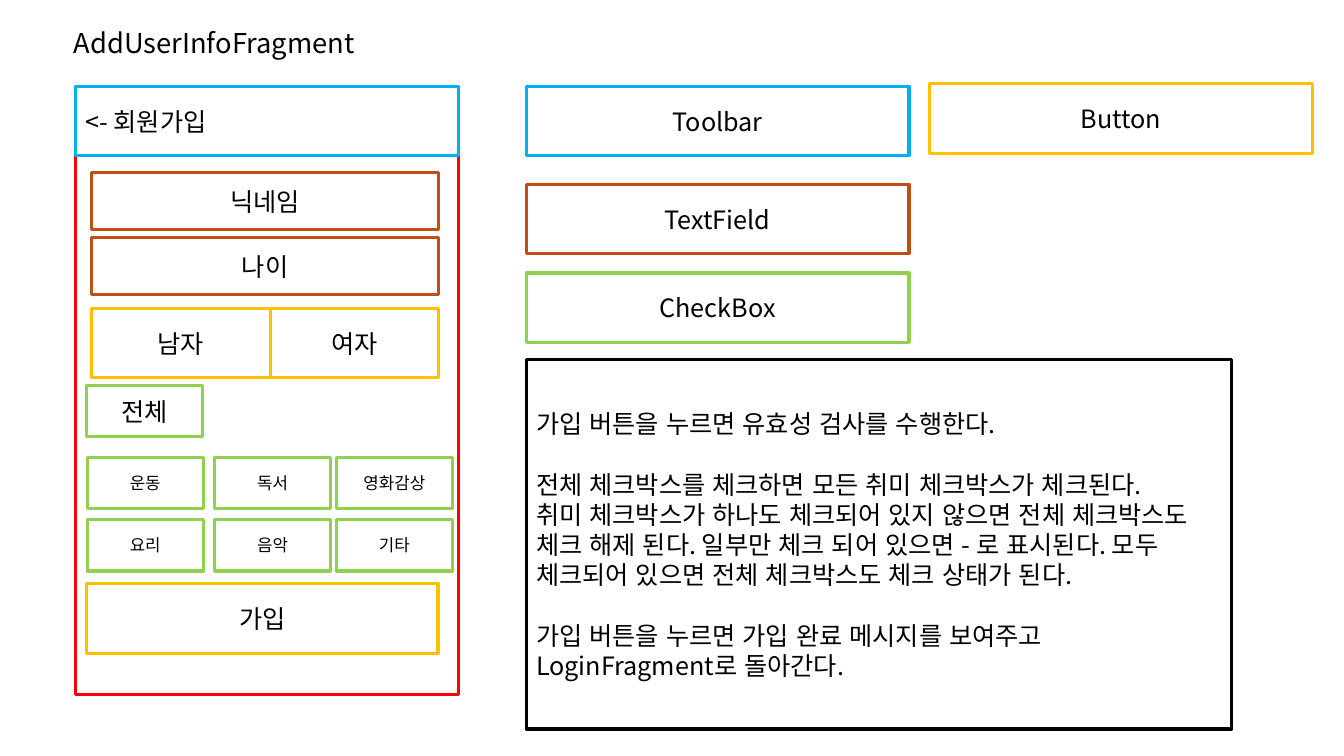
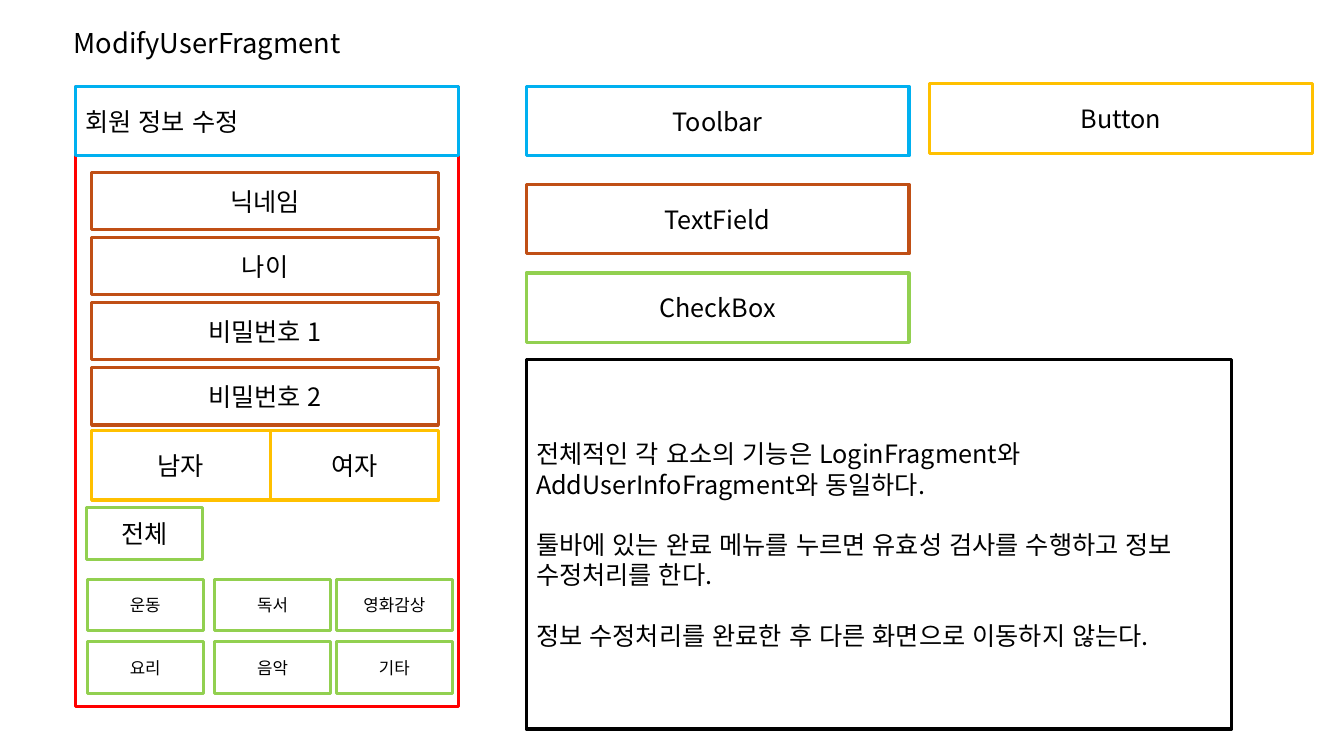
"""Build two wireframe pages that describe the user forms of an app."""

from dataclasses import dataclass
from typing import Optional

from lxml.etree import SubElement
from pptx import Presentation
from pptx.dml.color import RGBColor
from pptx.enum.lang import MSO_LANGUAGE_ID as Language
from pptx.enum.shapes import MSO_SHAPE as Preset
from pptx.enum.text import MSO_ANCHOR as Anchor, MSO_AUTO_SIZE as AutoSize, PP_ALIGN as Align
from pptx.oxml.ns import qn
from pptx.util import Cm, Pt

FONT = "Noto Sans CJK KR"
INK = "000000"
SCREEN = "FF0000"
TOOLBAR = "00B0F0"
FIELD = "C04F15"
BUTTON = "FFC000"
CHECK = "92D050"

SCREEN_LEFT, SCREEN_TOP, SCREEN_WIDTH = 1.9, 2.18, 9.65
BAR_HEIGHT = 1.75
FIELD_LEFT, FIELD_TOP, FIELD_WIDTH, FIELD_HEIGHT, FIELD_STEP = 2.31, 4.34, 8.74, 1.45, 1.64
CHECK_LEFT, CHECK_WIDTH, CHECK_HEIGHT, CHECK_STEP = 2.18, 2.92, 1.3, 1.57
LEGEND_LEFT = 13.26
LINE_PITCH = 21.6

HOBBY_COLUMNS = (2.2, 5.41, 8.48)
HOBBY_ROWS = (("운동", "독서", "영화감상"), ("요리", "음악", "기타"))


@dataclass(frozen=True)
class Box:
    """An outlined rectangle with its label, measured in centimetres."""

    left: float
    top: float
    width: float
    height: float
    colour: str
    label: str = ""
    size: float = 18
    align: Align = Align.CENTER


@dataclass(frozen=True)
class Note:
    """A paragraph of the explanation, opening a new block or not."""

    text: str
    opens_block: bool = True


@dataclass(frozen=True)
class Form:
    """The content of one page."""

    title: str
    toolbar: str
    screen_height: float
    fields: tuple[str, ...]
    gender_top: float
    notes: tuple[Note, ...]
    submit: Optional[str] = None


LEGEND = (
    Box(LEGEND_LEFT, SCREEN_TOP, SCREEN_WIDTH, BAR_HEIGHT, TOOLBAR, "Toolbar"),
    Box(LEGEND_LEFT, 4.65, SCREEN_WIDTH, BAR_HEIGHT, FIELD, "TextField"),
    Box(LEGEND_LEFT, 6.88, SCREEN_WIDTH, BAR_HEIGHT, CHECK, "CheckBox"),
    Box(23.42, 2.11, SCREEN_WIDTH, BAR_HEIGHT, BUTTON, "Button"),
)
NOTE_BOX = Box(LEGEND_LEFT, 9.07, 17.78, 9.3, INK)

FORMS = (
    Form(
        title="AddUserInfoFragment",
        toolbar="<- 회원가입",
        screen_height=15.32,
        fields=("닉네임", "나이"),
        gender_top=7.77,
        notes=(
            Note("가입 버튼을 누르면 유효성 검사를 수행한다."),
            Note("전체 체크박스를 체크하면 모든 취미 체크박스가 체크된다."),
            Note(
                "취미 체크박스가 하나도 체크되어 있지 않으면 전체 체크박스도 체크 해제 된다. "
                "일부만 체크 되어 있으면 - 로 표시된다. "
                "모두 체크되어 있으면 전체 체크박스도 체크 상태가 된다.",
                opens_block=False,
            ),
            Note("가입 버튼을 누르면 가입 완료 메시지를 보여주고 LoginFragment로 돌아간다."),
        ),
        submit="가입",
    ),
    Form(
        title="ModifyUserFragment",
        toolbar="회원 정보 수정",
        screen_height=15.62,
        fields=("닉네임", "나이", "비밀번호 1", "비밀번호 2"),
        gender_top=10.85,
        notes=(
            Note("전체적인 각 요소의 기능은 LoginFragment와 AddUserInfoFragment와 동일하다."),
            Note("툴바에 있는 완료 메뉴를 누르면 유효성 검사를 수행하고 정보 수정처리를 한다."),
            Note("정보 수정처리를 완료한 후 다른 화면으로 이동하지 않는다."),
        ),
    ),
)


def rgb(colour: str) -> RGBColor:
    """Turn a hex string into a colour."""
    return RGBColor.from_string(colour)


def add_span(para, text: str, size: float) -> None:
    """Add one run in the shared font and ink."""
    span = para.add_run()
    span.text = text
    span.font.size = Pt(size)
    span.font.name = FONT
    span.font.language_id = Language.KOREAN
    span.font.color.rgb = rgb(INK)
    SubElement(span.font._element, qn("a:ea"), typeface=FONT)


def draw_box(page, box: Box):
    """Draw an outlined rectangle and return its text frame."""
    shape = page.shapes.add_shape(
        Preset.RECTANGLE, Cm(box.left), Cm(box.top), Cm(box.width), Cm(box.height)
    )
    shape.shadow.inherit = False
    shape.fill.background()
    shape.line.color.rgb = rgb(box.colour)
    shape.line.width = Pt(2.25)
    frame = shape.text_frame
    frame.word_wrap = True
    frame.vertical_anchor = Anchor.MIDDLE
    if box.label:
        para = frame.paragraphs[0]
        para.alignment = box.align
        add_span(para, box.label, box.size)
    return frame


def draw_title(page, text: str) -> None:
    """Place and format the title placeholder."""
    title = page.shapes.title
    title.left, title.top, title.width, title.height = Cm(1.6), Cm(0.69), Cm(21.11), Cm(0.89)
    frame = title.text_frame
    frame.auto_size = AutoSize.NONE
    frame.word_wrap = True
    frame.vertical_anchor = Anchor.BOTTOM
    para = frame.paragraphs[0]
    para.alignment = Align.LEFT
    para.line_spacing = 0.7
    add_span(para, text, 19.5)


def draw_notes(page, notes: tuple[Note, ...]) -> None:
    """Write the explanation in its black box."""
    frame = draw_box(page, NOTE_BOX)
    for index, note in enumerate(notes):
        para = frame.add_paragraph() if index else frame.paragraphs[0]
        para.alignment = Align.LEFT
        para.line_spacing = Pt(LINE_PITCH)
        para.space_before = Pt(LINE_PITCH if index and note.opens_block else 0)
        add_span(para, note.text, 18)


def screen_boxes(form: Form) -> list[Box]:
    """List the boxes of the app screen from back to front."""
    boxes = [
        Box(SCREEN_LEFT, SCREEN_TOP, SCREEN_WIDTH, form.screen_height, SCREEN),
        Box(SCREEN_LEFT, SCREEN_TOP, SCREEN_WIDTH, BAR_HEIGHT, TOOLBAR, form.toolbar, align=Align.LEFT),
    ]
    boxes += [
        Box(FIELD_LEFT, FIELD_TOP + row * FIELD_STEP, FIELD_WIDTH, FIELD_HEIGHT, FIELD, label)
        for row, label in enumerate(form.fields)
    ]
    boxes += [
        Box(FIELD_LEFT, form.gender_top, 4.5, BAR_HEIGHT, BUTTON, "남자"),
        Box(6.82, form.gender_top, 4.24, BAR_HEIGHT, BUTTON, "여자"),
        Box(CHECK_LEFT, form.gender_top + 1.94, CHECK_WIDTH, CHECK_HEIGHT, CHECK, "전체"),
    ]
    hobby_top = form.gender_top + 3.75
    boxes += [
        Box(left, hobby_top + row * CHECK_STEP, CHECK_WIDTH, CHECK_HEIGHT, CHECK, label, 12)
        for row, labels in enumerate(HOBBY_ROWS)
        for left, label in zip(HOBBY_COLUMNS, labels)
    ]
    if form.submit:
        boxes.append(Box(CHECK_LEFT, 14.71, 8.86, BAR_HEIGHT, BUTTON, form.submit))
    return boxes


def draw_form(deck, form: Form) -> None:
    """Add the page of one form."""
    page = deck.slides.add_slide(deck.slide_layouts.get_by_name("Title Only"))
    draw_title(page, form.title)
    for box in (*screen_boxes(form), *LEGEND):
        draw_box(page, box)
    draw_notes(page, form.notes)


def main() -> None:
    """Build and save the deck."""
    deck = Presentation()
    deck.slide_width, deck.slide_height = Cm(33.87), Cm(19.05)
    for form in FORMS:
        draw_form(deck, form)
    deck.save("out.pptx")


if __name__ == "__main__":
    main()
